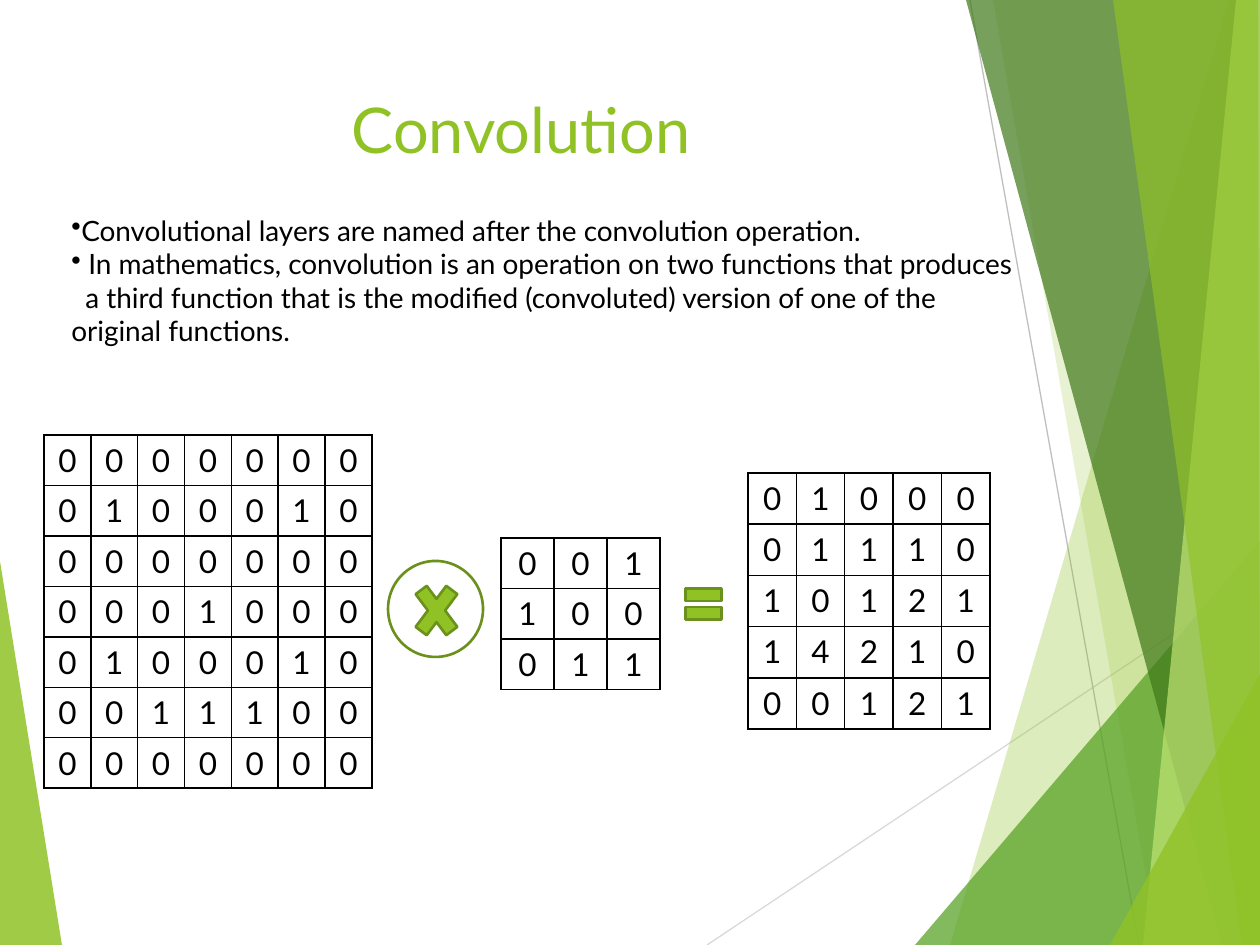
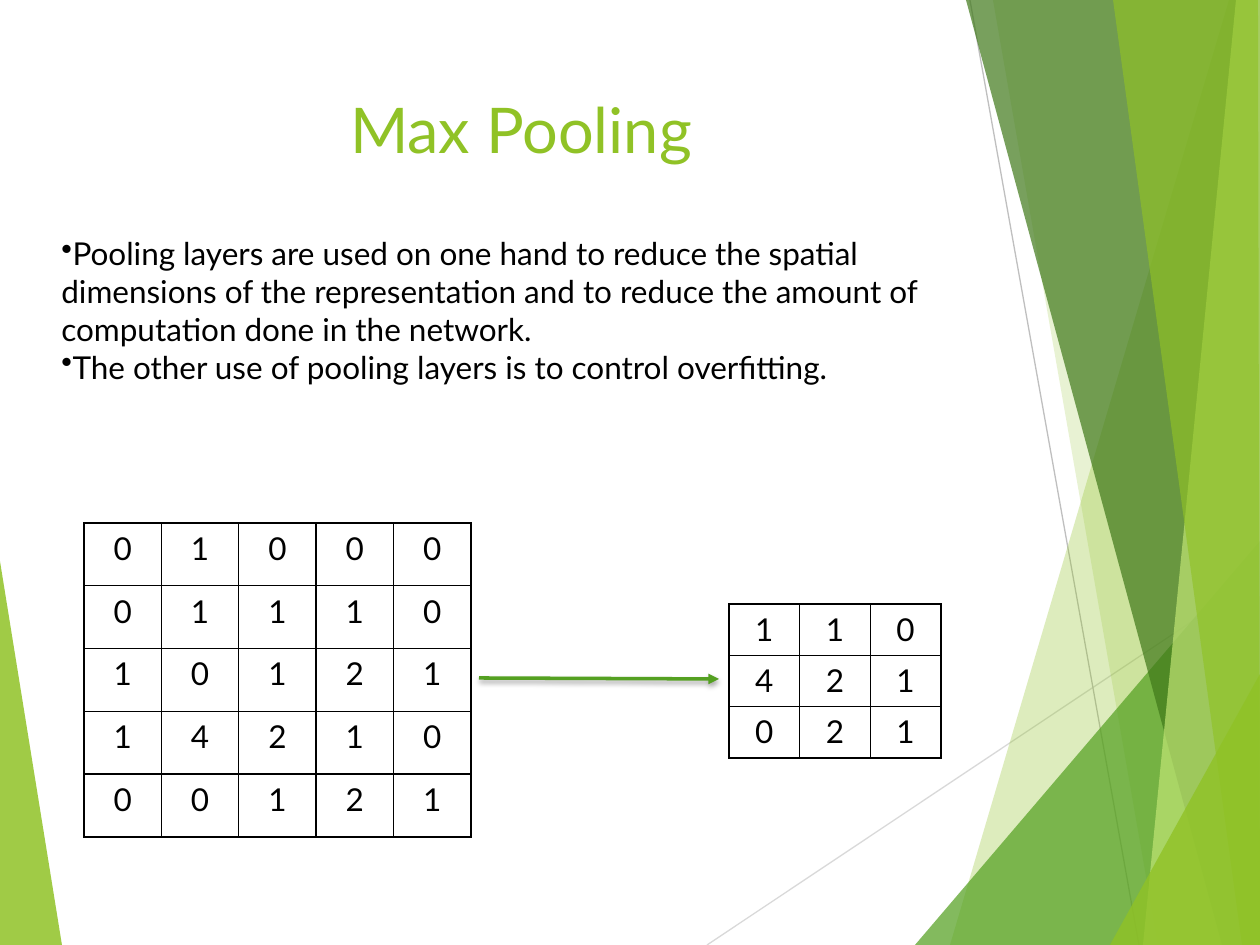
from pptx import Presentation
from pptx.dml.color import RGBColor
from pptx.enum.shapes import MSO_CONNECTOR, MSO_SHAPE
from pptx.enum.text import MSO_ANCHOR, PP_ALIGN
from pptx.oxml import parse_xml
from pptx.oxml.ns import nsdecls, qn
from pptx.oxml.xmlchemy import OxmlElement
from pptx.util import Emu, Pt

EMU_PER_PX = 914400 / 126
SLIDE_W, SLIDE_H = 1260, 945
TITLE_ONLY = 5

LIME = RGBColor(0x90, 0xC2, 0x26)
PALE_LIME = RGBColor(0xC0, 0xE4, 0x74)
OLIVE = RGBColor(0x6B, 0x90, 0x1C)
GREEN = RGBColor(0x54, 0xA0, 0x21)
DARK_GREEN = RGBColor(0x3F, 0x78, 0x19)
LIGHT_GRAY = RGBColor(0xD9, 0xD9, 0xD9)
GRAY = RGBColor(0xBF, 0xBF, 0xBF)
BLACK = RGBColor(0, 0, 0)

FONT = "Lato"
TITLE_BOX = (84, 84, 874, 182)

# Facets as (colour, opacity in percent, corners)
LEFT_FACET = (LIME, 85, [(0, 561), (62, SLIDE_H), (0, SLIDE_H)])
RIGHT_FACETS = [
    (LIME, 30, [(1229, 0), (950, SLIDE_H), (SLIDE_W, SLIDE_H), (SLIDE_W, 0)]),
    (LIME, 20, [(993, 0), (1158, SLIDE_H), (SLIDE_W, SLIDE_H), (SLIDE_W, 0)]),
    (GREEN, 72, [(915, SLIDE_H), (SLIDE_W, 541), (SLIDE_W, SLIDE_H)]),
    (DARK_GREEN, 70, [(966, 0), (1222, SLIDE_H), (SLIDE_W, SLIDE_H), (SLIDE_W, 0)]),
    (PALE_LIME, 70, [(1236, 0), (1143, SLIDE_H), (SLIDE_W, SLIDE_H), (SLIDE_W, 0)]),
    (LIME, 65, [(1113, 0), (1242, SLIDE_H), (SLIDE_W, SLIDE_H), (1258, 0)]),
    (LIME, 80, [(1110, SLIDE_H), (SLIDE_W, 674), (SLIDE_W, SLIDE_H)]),
]

INPUT_MATRIX = ["0000000", "0100010", "0000000", "0001000",
                "0100010", "0011100", "0000000"]
KERNEL = ["001", "100", "011"]
FEATURE_MAP = ["01000", "01110", "10121", "14210", "00121"]
POOLED_MAP = ["110", "421", "021"]


def px(*lengths):
    return [Emu(round(n * EMU_PER_PX)) for n in lengths]


def set_attrs(target, **values):
    for name, value in values.items():
        setattr(target, name, value)


def format_runs(p, size, color):
    for r in p.runs:
        set_attrs(r.font, name=FONT, size=Pt(size))
        r.font.color.rgb = color


def add_facet(shapes, color, opacity, corners):
    builder = shapes.build_freeform(*corners[0], scale=EMU_PER_PX)
    builder.add_line_segments(corners[1:], close=True)
    sp = builder.convert_to_shape()
    sp.shadow.inherit = False
    sp.line.fill.background()
    sp.fill.solid()
    sp.fill.fore_color.rgb = color
    alpha = OxmlElement("a:alpha")
    alpha.set("val", str(opacity * 1000))
    sp.element.spPr.find(qn("a:solidFill"))[0].append(alpha)


def add_line(shapes, start, end, color, width):
    line = shapes.add_connector(MSO_CONNECTOR.STRAIGHT, *px(*start, *end))
    line.line.color.rgb = color
    line.line.width = Pt(width)
    line.element.spPr.append(OxmlElement("a:effectLst"))
    return line


def add_arrow(slide, start, end):
    """Green arrow with a soft shadow below it."""
    arrow = add_line(slide.shapes, start, end, GREEN, 2)
    spPr = arrow.element.spPr
    head = OxmlElement("a:tailEnd")
    head.set("type", "triangle")
    spPr.find(qn("a:ln")).append(head)
    spPr.find(qn("a:effectLst")).append(parse_xml(
        f'<a:outerShdw {nsdecls("a")} blurRad="{Pt(3)}" dist="{Pt(2)}" dir="5400000" '
        'rotWithShape="0"><a:srgbClr val="000000"><a:alpha val="35000"/>'
        '</a:srgbClr></a:outerShdw>'))


def move_facets_to_layout(slide):
    """Draw the facets in a group and hand it to the layout that all slides share."""
    group = slide.shapes.add_group_shape()
    add_facet(group.shapes, *LEFT_FACET)
    add_line(group.shapes, (707, SLIDE_H), (SLIDE_W, 576), LIGHT_GRAY, 0.75)
    add_line(group.shapes, (970, 0), (1139, SLIDE_H), GRAY, 0.75)
    for facet in RIGHT_FACETS:
        add_facet(group.shapes, *facet)
    slide.slide_layout.shapes.element.insert(2, group.element)


def add_titled_slide(prs, title):
    slide = prs.slides.add_slide(prs.slide_layouts[TITLE_ONLY])
    sp = slide.shapes.title
    left, top, width, height = px(*TITLE_BOX)
    set_attrs(sp, left=left, top=top, width=width, height=height)
    tf = sp.text_frame
    tf.text = title
    set_attrs(tf, word_wrap=True, vertical_anchor=MSO_ANCHOR.TOP)
    p = tf.paragraphs[0]
    p.alignment = PP_ALIGN.CENTER
    format_runs(p, 36, LIME)
    return slide


def add_body(slide, box, size, items):
    """Add paragraphs given as (text, bulleted, first-line indent in px)."""
    tf = slide.shapes.add_textbox(*px(*box)).text_frame
    tf.word_wrap = True
    for i, (text, bulleted, indent) in enumerate(items):
        p = tf.add_paragraph() if i else tf.paragraphs[0]
        p.text = text
        format_runs(p, size, BLACK)
        pPr = p._p.get_or_add_pPr()
        pPr.set("marL", "0")
        pPr.set("indent", str(px(indent)[0]))
        if bulleted:
            bullet = OxmlElement("a:buChar")
            bullet.set("char", "•")
            pPr.append(bullet)


def add_matrix(slide, box, rows):
    """Add a bordered table with one digit in each cell."""
    frame = slide.shapes.add_table(len(rows), len(rows[0]), *px(*box))
    table = frame.table
    set_attrs(table, first_row=False, horz_banding=False)
    for cell, digit in zip(table.iter_cells(), "".join(rows)):
        cell.text = digit
        cell.fill.background()
        p = cell.text_frame.paragraphs[0]
        p.alignment = PP_ALIGN.CENTER
        format_runs(p, 18, BLACK)
    for tcPr in frame.element.iter(qn("a:tcPr")):
        for i, side in enumerate("LRTB"):
            tcPr.insert(i, parse_xml(
                f'<a:ln{side} {nsdecls("a")} w="{Pt(1)}"><a:solidFill>'
                f'<a:srgbClr val="{BLACK}"/></a:solidFill></a:ln{side}>'))


def add_symbol(slide, kind, box, filled=True):
    sp = slide.shapes.add_shape(kind, *px(*box))
    sp.shadow.inherit = False
    if filled:
        sp.fill.solid()
        sp.fill.fore_color.rgb = LIME
    else:
        sp.fill.background()
    sp.line.color.rgb = OLIVE
    sp.line.width = Pt(1.5)


def build_convolution(prs):
    slide = add_titled_slide(prs, "Convolution")
    move_facets_to_layout(slide)
    add_matrix(slide, (44, 435, 328, 353), INPUT_MATRIX)
    add_matrix(slide, (501, 538, 159, 151), KERNEL)
    add_matrix(slide, (748, 473, 242, 256), FEATURE_MAP)
    add_symbol(slide, MSO_SHAPE.MATH_MULTIPLY, (407, 571, 59, 79))
    add_symbol(slide, MSO_SHAPE.MATH_EQUAL, (679, 578, 49, 52))
    add_symbol(slide, MSO_SHAPE.FLOWCHART_CONNECTOR, (388, 561, 95, 96), filled=False)
    add_body(slide, (59, 207, 1024, 217), 16, [
        ("Convolutional layers are named after the convolution operation.", True, 0),
        (" In mathematics, convolution is an operation on two functions that produces",
         True, 0),
        ("a third function that is the modified (convoluted) version of one of the"
         "\voriginal functions.", False, 14),
    ])


def build_max_pooling(prs):
    slide = add_titled_slide(prs, "Max Pooling")
    add_matrix(slide, (84, 523, 387, 314), FEATURE_MAP)
    add_matrix(slide, (729, 604, 212, 154), POOLED_MAP)
    add_arrow(slide, (479, 678), (719, 679))
    add_body(slide, (49, 228, 955, 165), 18, [
        ("Pooling layers are used on one hand to reduce the spatial dimensions of the "
         "representation and to reduce the amount of computation done in the network.",
         True, 0),
        ("The other use of pooling layers is to control overfitting.", True, 0),
    ])


def main():
    prs = Presentation()
    prs.slide_width, prs.slide_height = px(SLIDE_W, SLIDE_H)
    build_convolution(prs)
    build_max_pooling(prs)
    prs.save("out.pptx")


if __name__ == "__main__":
    main()
